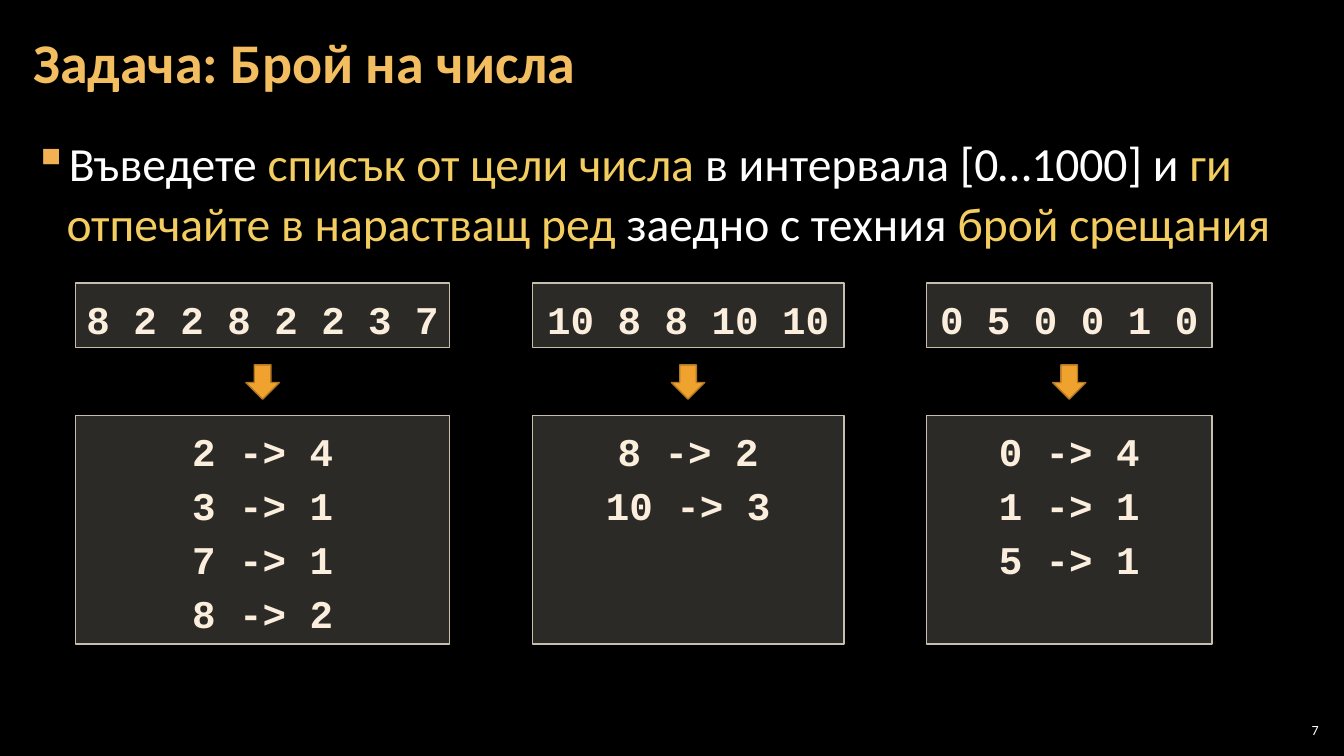
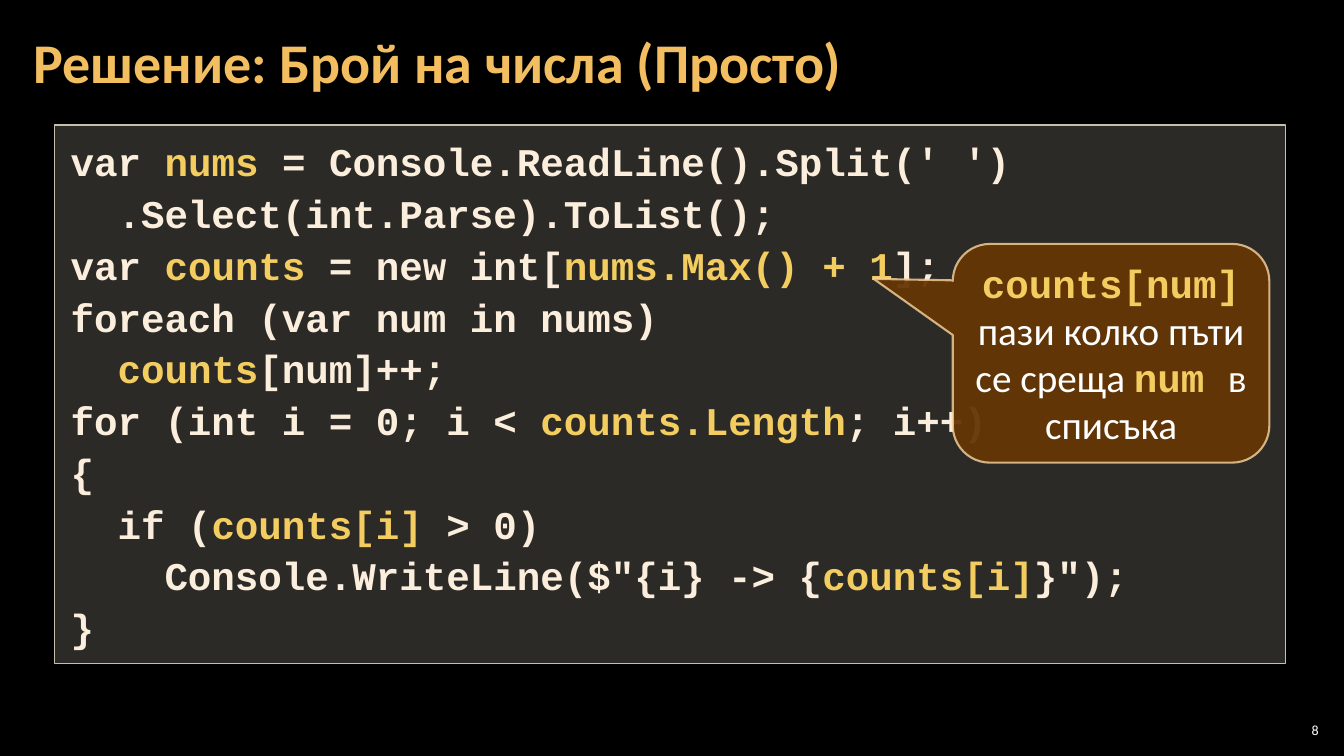
"""Build two slides: the number-counting task and its simple solution."""
from dataclasses import dataclass

from lxml.etree import SubElement
from pptx import Presentation
from pptx.dml.color import RGBColor
from pptx.enum.shapes import MSO_SHAPE
from pptx.enum.text import MSO_ANCHOR, MSO_AUTO_SIZE, PP_ALIGN
from pptx.oxml.ns import qn
from pptx.util import Inches, Pt


@dataclass(frozen=True)
class Theme:
    sans: str = "Calibri"
    mono: str = "Courier New"
    background: RGBColor = RGBColor.from_string("000000")
    title: RGBColor = RGBColor.from_string("F3BE60")
    text: RGBColor = RGBColor.from_string("FFFFFF")
    highlight: RGBColor = RGBColor.from_string("F3CD60")
    code: RGBColor = RGBColor.from_string("FBEEDC")
    bullet: RGBColor = RGBColor.from_string("F2B254")
    panel: RGBColor = RGBColor.from_string("D9D5C7")
    panel_line: RGBColor = RGBColor.from_string("C7BFAC")
    arrow: RGBColor = RGBColor.from_string("F0A22E")
    arrow_line: RGBColor = RGBColor.from_string("B27822")
    callout: RGBColor = RGBColor.from_string("663606")
    callout_line: RGBColor = RGBColor.from_string("F8D49E")
    title_size: int = 40
    body_size: int = 34
    code_size: int = 28
    number_size: int = 10


theme = Theme()
title_style = (theme.sans, theme.title, True)
text_style = (theme.sans, theme.text, False)
accent_style = (theme.sans, theme.highlight, False)
code_style = (theme.mono, theme.code, True)
code_accent_style = (theme.mono, theme.highlight, True)


def add_runs(paragraph, marked_text, size, plain, accent=None):
    for index, part in enumerate(marked_text.split("|")):
        if part:
            run = paragraph.add_run()
            run.text = part
            font = run.font
            font.size = Pt(size)
            font.name, font.color.rgb, font.bold = accent if index % 2 else plain


def add_panel(slide, preset, box, fill, line, lines=(), styles=(code_style, code_accent_style),
              opacity=100, line_opacity=100, line_width=1, align=PP_ALIGN.CENTER, spacing=1.0):
    panel = slide.shapes.add_shape(preset, *[Inches(length) for length in box])
    panel.shadow.inherit = False
    panel.fill.solid()
    panel.fill.fore_color.rgb = fill
    panel.line.color.rgb = line
    panel.line.width = Pt(line_width)
    for query, percent in (("./a:solidFill/a:srgbClr", opacity),
                           ("./a:ln/a:solidFill/a:srgbClr", line_opacity)):
        if percent < 100:
            SubElement(panel.element.spPr.xpath(query)[0], qn("a:alpha"), val=str(percent * 1000))
    frame = panel.text_frame
    frame.word_wrap = True
    frame.vertical_anchor = MSO_ANCHOR.TOP
    for index, line_text in enumerate(lines):
        paragraph = frame.add_paragraph() if index else frame.paragraphs[0]
        paragraph.alignment = align
        paragraph.line_spacing = spacing
        add_runs(paragraph, line_text, theme.code_size, *styles)
    return panel


presentation = Presentation()
presentation.slide_width = Inches(13.33)
presentation.slide_height = Inches(7.5)
master_fill = presentation.slide_master.background.fill
master_fill.solid()
master_fill.fore_color.rgb = theme.background

slides = []
for number, heading in enumerate(("Задача: Брой на числа", "Решение: Брой на числа (Просто)"), 7):
    slide = presentation.slides.add_slide(presentation.slide_layouts[5])
    title = slide.shapes.title
    title.left, title.top = Inches(0.21), Inches(0.04)
    title.width, title.height = Inches(12.91), Inches(1.21)
    title_frame = title.text_frame
    title_frame.auto_size = MSO_AUTO_SIZE.NONE
    title_frame.vertical_anchor = MSO_ANCHOR.MIDDLE
    title_frame.margin_left = title_frame.margin_right = Inches(0.12)
    title_frame.margin_top = title_frame.margin_bottom = Inches(0.04)
    title_frame.paragraphs[0].alignment = PP_ALIGN.LEFT
    title_frame.paragraphs[0].line_spacing = 0.9
    add_runs(title_frame.paragraphs[0], heading, theme.title_size, title_style)

    page_frame = slide.shapes.add_textbox(
        Inches(12.65), Inches(7.14), Inches(0.47), Inches(0.21)).text_frame
    page_frame.word_wrap = True
    page_frame.vertical_anchor = MSO_ANCHOR.MIDDLE
    page_frame.margin_left = page_frame.margin_right = Inches(0.04)
    page_frame.margin_top = page_frame.margin_bottom = Inches(0.04)
    page_frame.paragraphs[0].alignment = PP_ALIGN.RIGHT
    add_runs(page_frame.paragraphs[0], str(number), theme.number_size, text_style)
    slides.append(slide)

task_slide, solution_slide = slides

task_frame = task_slide.shapes.add_textbox(
    Inches(0.21), Inches(1.26), Inches(12.91), Inches(1.4)).text_frame
task_frame.word_wrap = True
task_frame.margin_left = task_frame.margin_right = Inches(0.12)
task_frame.margin_top = task_frame.margin_bottom = Inches(0.04)
task = task_frame.paragraphs[0]
task_properties = task._p.get_or_add_pPr()
task_properties.set("marL", str(Inches(0.33)))
task_properties.set("indent", str(Inches(-0.33)))
bullet_color = SubElement(task_properties, qn("a:buClr"))
SubElement(bullet_color, qn("a:srgbClr"), val=str(theme.bullet))
SubElement(task_properties, qn("a:buChar"), char="▪")
task.line_spacing = 1.05
task.space_after = Pt(6)
add_runs(task, "Въведете |списък от цели числа |в интервала [0…1000] и "
               "|ги отпечайте в нарастващ ред |заедно с техния |брой срещания",
         theme.body_size, text_style, accent_style)

examples = (
    (3.71, "8 2 2 8 2 2 3 7", ("2 -> 4", "3 -> 1", "7 -> 1", "8 -> 2")),
    (3.09, "10 8 8 10 10", ("8 -> 2", "10 -> 3")),
    (2.83, "0 5 0 0 1 0", ("0 -> 4", "1 -> 1", "5 -> 1")),
)
example_left, example_gap, arrow_width = 0.75, 0.82, 0.33
for example_width, numbers, counts in examples:
    for top, height, lines in ((2.81, 0.64, (numbers,)), (4.12, 2.27, counts)):
        add_panel(task_slide, MSO_SHAPE.RECTANGLE, (example_left, top, example_width, height),
                  theme.panel, theme.panel_line, lines, opacity=20, spacing=1.15)
    arrow_left = example_left + (example_width - arrow_width) / 2
    add_panel(task_slide, MSO_SHAPE.DOWN_ARROW, (arrow_left, 3.62, arrow_width, 0.34),
              theme.arrow, theme.arrow_line)
    example_left += example_width + example_gap

program = (
    "var |nums| = Console.ReadLine().Split(' ')",
    "  .Select(int.Parse).ToList();",
    "var |counts| = new int[|nums.Max() + 1|];",
    "foreach (var num in nums)",
    "  |counts|[num]++;",
    "for (int i = 0; i < |counts.Length|; i++)",
    "{",
    "  if (|counts[i]| > 0)",
    "    Console.WriteLine($\"{i} -> {|counts[i]|}\");",
    "}",
)
listing = add_panel(solution_slide, MSO_SHAPE.RECTANGLE, (0.54, 1.24, 12.21, 5.34),
                    theme.panel, theme.panel_line, program, opacity=20,
                    align=PP_ALIGN.LEFT, spacing=1.1)
listing.text_frame.margin_left = listing.text_frame.margin_right = Inches(0.16)
listing.text_frame.margin_top = listing.text_frame.margin_bottom = Inches(0.08)

explanation = add_panel(
    solution_slide, MSO_SHAPE.ROUNDED_RECTANGULAR_CALLOUT, (9.45, 2.42, 3.14, 2.17),
    theme.callout, theme.callout_line,
    ("|counts[num] |пази колко пъти се среща |num |в списъка",),
    (text_style, code_accent_style), opacity=95, line_opacity=80, line_width=1.5)
explanation.text_frame.vertical_anchor = MSO_ANCHOR.MIDDLE
for index, adjustment in enumerate((-0.75, -0.34, 0.17)):
    explanation.adjustments[index] = adjustment

presentation.save("out.pptx")
